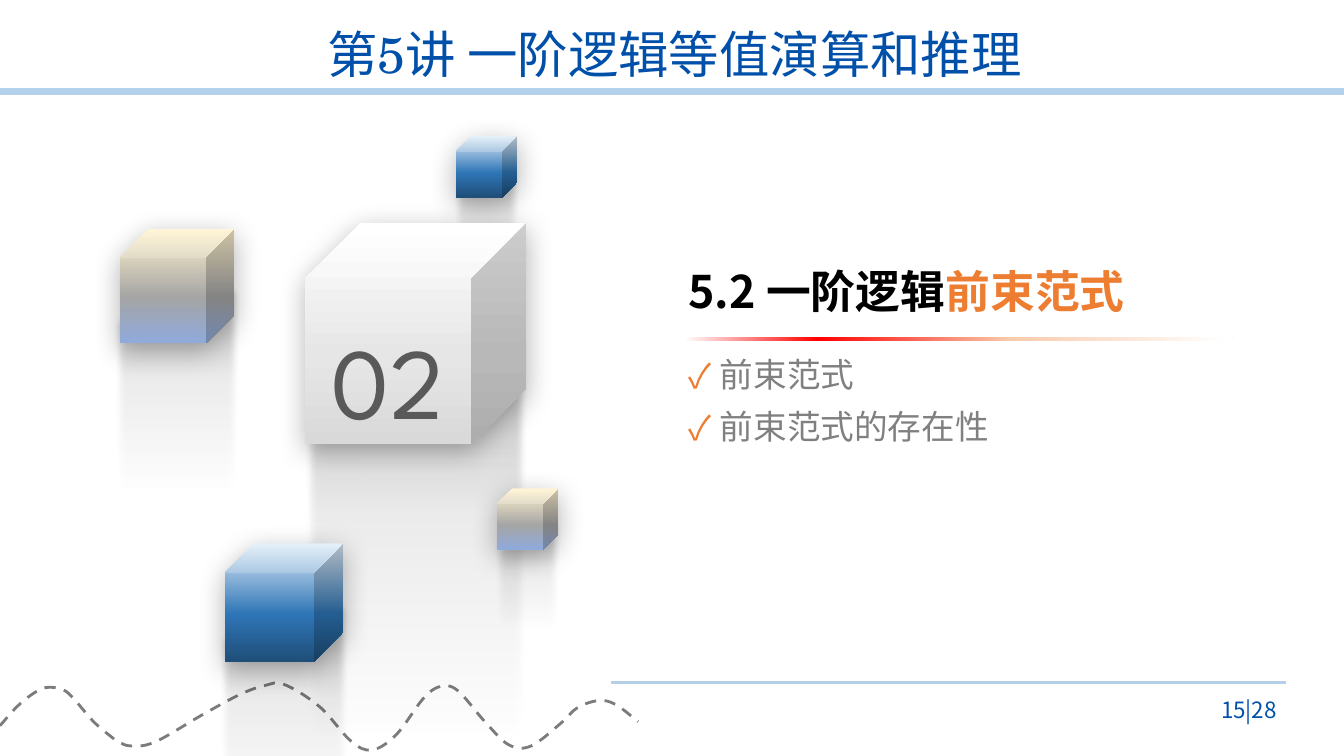
from dataclasses import dataclass

from lxml import etree
from pptx import Presentation
from pptx.dml.color import RGBColor
from pptx.enum.dml import MSO_LINE
from pptx.enum.shapes import MSO_CONNECTOR, MSO_SHAPE
from pptx.enum.text import MSO_ANCHOR, MSO_AUTO_SIZE, PP_ALIGN
from pptx.oxml import parse_xml
from pptx.oxml.ns import nsdecls, qn
from pptx.util import Emu, Inches, Pt

CUBE, BAR = MSO_SHAPE.CUBE, MSO_SHAPE.ROUNDED_RECTANGLE
STRAIGHT, DASH = MSO_CONNECTOR.STRAIGHT, MSO_LINE.DASH
LEFT, CENTER, RIGHT = PP_ALIGN.LEFT, PP_ALIGN.CENTER, PP_ALIGN.RIGHT
MIDDLE, BOTTOM, TOP = MSO_ANCHOR.MIDDLE, MSO_ANCHOR.BOTTOM, MSO_ANCHOR.TOP
GROW, FIXED = MSO_AUTO_SIZE.SHAPE_TO_FIT_TEXT, MSO_AUTO_SIZE.NONE

# Square grid: 133.33 columns by 75 rows
CELL = Inches(0.1)
COLS, ROWS = 133.33, 75
SANS, SERIF, DISPLAY = "Noto Sans CJK SC", "TeX Gyre Schola", "League Spartan"
COLORS = {
    "title": "0050AA", "rule": "B5D2EC", "foot": "B5CFE8", "wave": "7C7C7C",
    "heading": "000000", "accent": "ED7D31", "item": "808080", "number": "595959",
}
# Gradient stops: position, colour, opacity (all but colour in percent)
GRADIENTS = {
    "blue": [(1, "DEEBF7", 100), (60, "2E75B6", 100), (100, "1F4E79", 100)],
    "sand": [(1, "FFF2CC", 100), (60, "A5A5A5", 100), (100, "8FAADC", 100)],
    "white": [(0, "FFFFFF", 100), (60, "E7E6E6", 100), (100, "D9D9D9", 100)],
    "fade": [(30, "000000", 0), (50, "000000", 4), (70, "000000", 8), (100, "262626", 30)],
    "red": [(1, "FFFFFF", 100), (25, "FF0000", 100), (60, "F8CBAD", 100), (99, "FFFFFF", 100)],
}
SHADOW = (f'<a:outerShdw {nsdecls("a")} blurRad="{Pt(20)}" dist="{Pt(5)}" dir="5400000" '
          'algn="t" rotWithShape="0"><a:srgbClr val="000000"><a:alpha val="30000"/>'
          '</a:srgbClr></a:outerShdw>')
SOFT_EDGE = f'<a:softEdge {nsdecls("a")} rad="{Pt(5)}"/>'


@dataclass
class Block:
    col: float
    row: float
    side: float
    colors: str
    spread: float = 1.11
    label: str = ""


@dataclass
class Label:
    box: tuple[float, float, float, float]
    runs: list[tuple[str, str]]
    size: int
    anchor: MSO_ANCHOR = TOP
    align: PP_ALIGN = LEFT
    bold: bool = False
    font: str = SANS
    spacing: float = 1.0
    grow: bool = True
    bullet: str = ""


BLOCKS = [
    Block(45.2, 13.5, 6.1, "blue"),
    Block(30.3, 22.1, 21.9, "white", 1.01, "02"),
    Block(22.3, 53.9, 11.75, "blue"),
    Block(49.3, 48.45, 6.1, "sand"),
    Block(11.9, 22.7, 11.35, "sand"),
]
TITLE = Label((15.7, 2.45, 102.4, 6.5), [("第5讲 一阶逻辑等值演算和推理", "title")], 36,
              MIDDLE, CENTER, font=SERIF, spacing=0.9)
LABELS = [
    Label((67.3, 25.6, 55.1, 6.4), [("5.2 一阶逻辑", "heading"), ("前束范式", "accent")],
          32, BOTTOM, bold=True),
    *[Label((67.3, 34.6 + 5.2 * i, 37.2, 5), [(text, "item")], 24, bullet="✓")
      for i, text in enumerate(["前束范式", "前束范式的存在性"])],
    Label((117.1, 68.4, 10.55, 4), [("15|28", "title")], 16, MIDDLE, RIGHT, grow=False),
]
WAVE = [
    (0, 72), (1.7, 70.1), (3.3, 68.8), (4.6, 68.2), (6.2, 68.4), (7.3, 69.3), (9.2, 71.5),
    (10.8, 72.9), (11.8, 73.6), (13, 74), (15.4, 73.6), (20.1, 70.9), (23.8, 68.9),
    (26.3, 68), (28.2, 67.9), (31.7, 70.1), (34.8, 73.5), (36.9, 74.4), (39.3, 72.9),
    (42, 69.3), (43.7, 68.1), (45.4, 68.5), (48.2, 71.7), (50.5, 73.9), (52.7, 74),
    (55.7, 71.7), (57.3, 70.2), (59.4, 69.5), (61.1, 69.9), (63.3, 71.6),
]


def grid(*cells: float) -> list[Emu]:
    return [Emu(round(c * CELL)) for c in cells]


def apply(target, values: dict) -> None:
    for name, value in values.items():
        setattr(target, name, value)


def rgb(name: str) -> RGBColor:
    return RGBColor.from_string(COLORS[name])


def gradient_shape(shapes, kind, box, colors: str, angle: int, effect: str = ""):
    sp = shapes.add_shape(kind, *grid(*box))
    sp.line.fill.background()
    sp.fill.background()
    sp.shadow.inherit = False
    stops = "".join(
        f'<a:gs pos="{pos * 1000}"><a:srgbClr val="{color}"><a:alpha val="{opacity * 1000}"/>'
        f'</a:srgbClr></a:gs>' for pos, color, opacity in GRADIENTS[colors])
    fill = parse_xml(f'<a:gradFill {nsdecls("a")} rotWithShape="1"><a:gsLst>{stops}</a:gsLst>'
                     f'<a:lin ang="{angle * 60000}" scaled="0"/></a:gradFill>')
    sppr = sp.element.spPr
    sppr.replace(sppr.find(qn("a:noFill")), fill)
    if effect:
        sppr.find(qn("a:effectLst")).append(parse_xml(effect))
    return sp


def write(sp, label: Label) -> None:
    tf = sp.text_frame
    apply(tf, {"word_wrap": True, "vertical_anchor": label.anchor,
               "auto_size": GROW if label.grow else FIXED})
    p = tf.paragraphs[0]
    apply(p, {"alignment": label.align, "line_spacing": label.spacing})
    for text, color in label.runs:
        r = p.add_run()
        r.text = text
        apply(r.font, {"size": Pt(label.size), "name": label.font, "bold": label.bold})
        r.font.color.rgb = rgb(color)
        etree.SubElement(r._r.get_or_add_rPr(), qn("a:ea"), typeface=SANS)
    if label.bullet:
        ppr = p._p.get_or_add_pPr()
        indent = Pt(22.5)
        ppr.set("marL", str(indent))
        ppr.set("indent", str(-indent))
        color = etree.SubElement(ppr, qn("a:buClr"))
        etree.SubElement(color, qn("a:srgbClr"), val=COLORS["accent"])
        etree.SubElement(ppr, qn("a:buFont"), typeface=SANS)
        etree.SubElement(ppr, qn("a:buChar"), char=label.bullet)


def draw_block(s, block: Block) -> None:
    shapes = s.shapes.add_group_shape().shapes
    side, width = block.side, block.side * block.spread
    fade = (block.col - (width - side) / 2, block.row + side / 2, width, side * 2.71)
    gradient_shape(shapes, CUBE, fade, "fade", 90, SOFT_EDGE).rotation = 180
    sp = gradient_shape(shapes, CUBE, (block.col, block.row, side, side),
                        block.colors, 90, SHADOW)
    if block.label:
        write(sp, Label((0, 0, 0, 0), [(block.label, "number")], 72, MIDDLE, CENTER,
                        font=DISPLAY, spacing=1.3, grow=False))


def draw_rule(s, start: float, end: float, row: float, color: str, width: float) -> None:
    line = s.shapes.add_connector(STRAIGHT, *grid(start, row, end, row))
    line.line.color.rgb = rgb(color)
    line.line.width = Pt(width)
    etree.SubElement(line.element.spPr, qn("a:effectLst"))


def draw_wave(s) -> None:
    points = [tuple(grid(*point)) for point in WAVE]
    outline = s.shapes.build_freeform(*points[0])
    outline.add_line_segments(points[1:], close=False)
    sp = outline.convert_to_shape()
    sp.fill.background()
    sp.shadow.inherit = False
    sp.line.color.rgb = rgb("wave")
    apply(sp.line, {"width": Pt(2), "dash_style": DASH})

    # Bend each segment along the direction of its neighbours
    local = [(x - sp.left, y - sp.top) for x, y in points]
    ends = [local[0], *local, local[-1]]
    segments = list(sp.element.iter(qn("a:lnTo")))
    for segment, a, b, c, d in zip(segments, ends, ends[1:], ends[2:], ends[3:]):
        first = [q + (r - p) / 6 for p, q, r in zip(a, b, c)]
        second = [q - (r - p) / 6 for p, q, r in zip(b, c, d)]
        curve = etree.Element(qn("a:cubicBezTo"))
        for x, y in (first, second, c):
            etree.SubElement(curve, qn("a:pt"), x=str(round(x)), y=str(round(y)))
        segment.getparent().replace(segment, curve)


def main() -> None:
    prs = Presentation()
    apply(prs, dict(zip(("slide_width", "slide_height"), grid(COLS, ROWS))))
    s = prs.slides.add_slide(prs.slide_layouts[5])

    # Rules and wave
    draw_rule(s, 0, COLS, 9.1, "rule", 5)
    draw_rule(s, 60.6, 127.6, 67.7, "foot", 1.75)
    draw_wave(s)

    # Floating cubes
    for block in BLOCKS:
        draw_block(s, block)

    # Heading bar and texts
    bar = gradient_shape(s.shapes, BAR, (67.3, 33.45, 55.1, 0.4), "red", 0)
    bar.adjustments[0] = 0.5
    for label in LABELS:
        write(s.shapes.add_textbox(*grid(*label.box)), label)
    title = s.shapes.title
    apply(title, dict(zip(("left", "top", "width", "height"), grid(*TITLE.box))))
    write(title, TITLE)
    prs.save("out.pptx")


if __name__ == "__main__":
    main()
